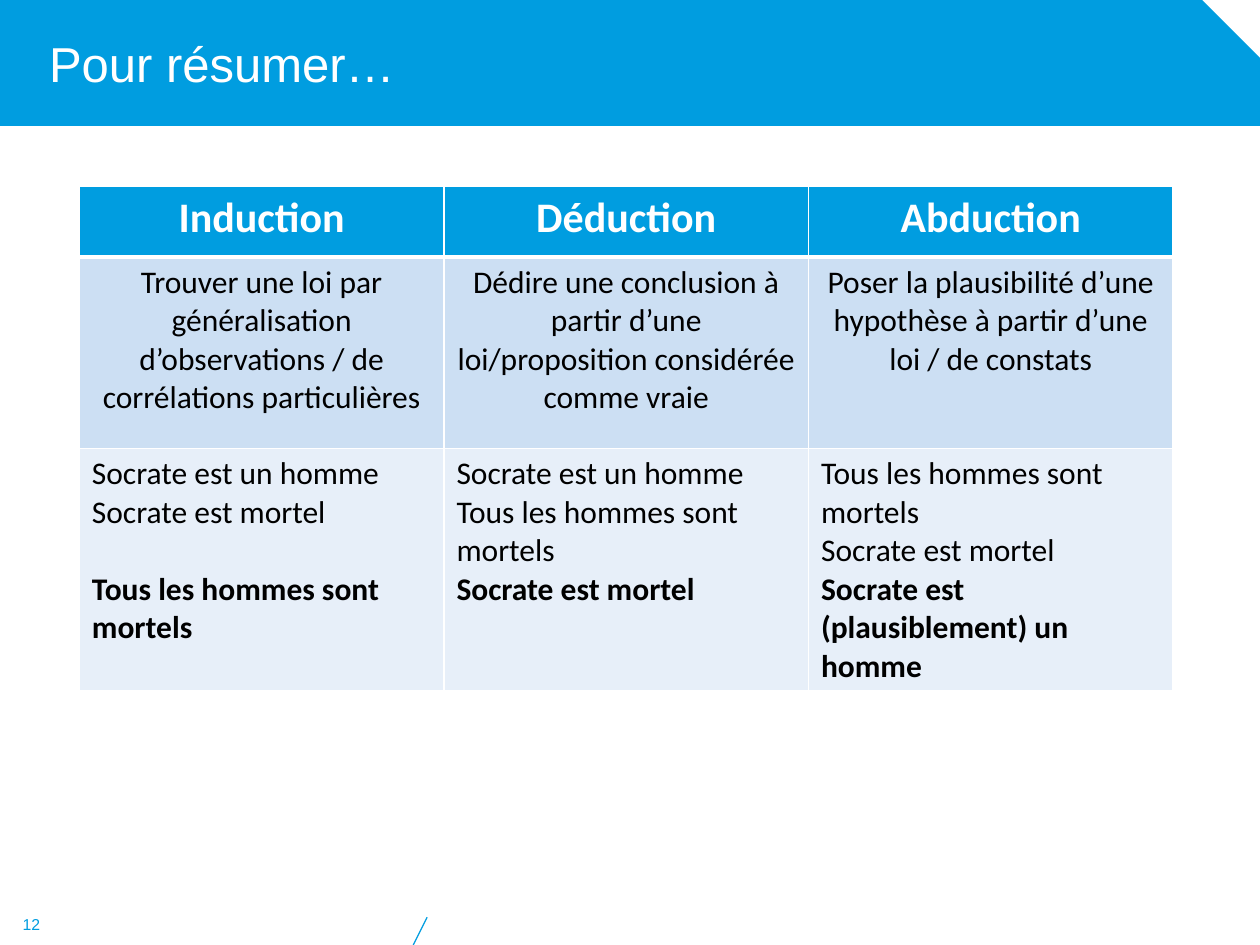
import dataclasses

import pptx
import pptx.dml.color
import pptx.enum.shapes
import pptx.enum.text
import pptx.oxml
import pptx.oxml.ns
import pptx.util

ALIGN = pptx.enum.text.PP_ALIGN
ANCHOR = pptx.enum.text.MSO_ANCHOR
SHAPE = pptx.enum.shapes.MSO_SHAPE
CONNECTOR = pptx.enum.shapes.MSO_CONNECTOR


@dataclasses.dataclass(frozen=True)
class Theme:
    accent: str = "009DE0"
    white: str = "FFFFFF"
    black: str = "000000"
    definition: str = "CCDFF3"
    example: str = "E7EFF9"
    heading_font: str = "Arial"
    table_font: str = "Calibri"
    title_size: int = 28
    header_size: int = 24
    body_size: int = 18
    number_size: int = 9
    blank_line: int = 22
    border: int = 1
    header_border: int = 3


def rgb(value):
    return pptx.dml.color.RGBColor.from_string(value)


def assign(target, values):
    for name, value in values.items():
        setattr(target, name, value)


class SlideBuilder:
    columns, rows = 100, 75

    def __init__(self, deck, theme):
        self.theme = theme
        self.column = deck.slide_width / self.columns
        self.row = deck.slide_height / self.rows
        self.page = deck.slides.add_slide(deck.slide_layouts[6])

    def scale(self, left, top, right, bottom):
        return (round(left * self.column), round(top * self.row),
                round(right * self.column), round(bottom * self.row))

    def add_text(self, para, text, size, color, font, bold=False):
        span = para.add_run()
        span.text = text
        assign(span.font, {"name": font, "size": pptx.util.Pt(size), "bold": bold})
        span.font.color.rgb = rgb(color)

    def banner(self, *area):
        shape = self.page.shapes.add_shape(
            SHAPE.SNIP_1_RECTANGLE, *self.scale(*area))
        shape.adjustments[0] = 0.46
        shape.shadow.inherit = False
        shape.fill.solid()
        shape.fill.fore_color.rgb = rgb(self.theme.accent)
        shape.line.fill.background()

    def slash(self, *ends):
        line = self.page.shapes.add_connector(
            CONNECTOR.STRAIGHT, *self.scale(*ends))
        line.line.color.rgb = rgb(self.theme.accent)
        line.line.width = pptx.util.Pt(0.75)
        properties = line._element.spPr
        properties.append(properties.makeelement(pptx.oxml.ns.qn("a:effectLst"), {}))

    def label(self, area, text, size, color, align, inset=0.1):
        box = self.page.shapes.add_textbox(*self.scale(*area))
        assign(box.text_frame, {
            "word_wrap": True,
            "vertical_anchor": ANCHOR.MIDDLE,
            "margin_left": pptx.util.Inches(inset),
        })
        para = box.text_frame.paragraphs[0]
        para.alignment = align
        self.add_text(para, text, size, color, self.theme.heading_font)

    def borders(self, cell, top, bottom):
        properties = cell._tc.get_or_add_tcPr()
        sides = {"L": self.theme.border, "R": self.theme.border, "T": top, "B": bottom}
        for index, (side, width) in enumerate(sides.items()):
            properties.insert(index, pptx.oxml.parse_xml(
                f'<a:ln{side} {pptx.oxml.ns.nsdecls("a")} w="{pptx.util.Pt(width)}">'
                f'<a:solidFill><a:srgbClr val="{self.theme.white}"/></a:solidFill>'
                f'</a:ln{side}>'))

    def cell(self, cell, paragraphs, fill, size, color, align):
        cell.fill.solid()
        cell.fill.fore_color.rgb = rgb(fill)
        for index, (text, bold, gap) in enumerate(paragraphs):
            frame = cell.text_frame
            para = frame.add_paragraph() if index else frame.paragraphs[0]
            assign(para, {"alignment": align, "space_before": pptx.util.Pt(gap)})
            self.add_text(para, text, size, color, self.theme.table_font, bold)

    def table(self, area, heights, contents, styles):
        grid = self.page.shapes.add_table(
            len(contents), len(contents[0]), *self.scale(*area)).table
        thin, thick = self.theme.border, self.theme.header_border
        for index, (height, texts, style) in enumerate(zip(heights, contents, styles)):
            grid.rows[index].height = round(height * self.row)
            for cell, paragraphs in zip(grid.rows[index].cells, texts):
                self.cell(cell, paragraphs, **style)
                self.borders(cell, thick if index == 1 else thin,
                             thick if index == 0 else thin)


def main():
    deck = pptx.Presentation()
    assign(deck, {"slide_width": pptx.util.Inches(10),
                  "slide_height": pptx.util.Inches(7.5)})
    theme = Theme()
    slide = SlideBuilder(deck, theme)

    slide.banner(0, 0, 100, 10)
    slide.slash(32.8, 75, 33.9, 72.8)
    slide.label((0, 0, 95, 10), "Pour résumer…", theme.title_size,
                theme.white, ALIGN.LEFT, inset=0.39)
    slide.label((0, 71.7, 5, 3.3), "12", theme.number_size,
                theme.accent, ALIGN.CENTER)

    headers = ["Induction", "Déduction", "Abduction"]
    definitions = [
        "Trouver une loi par généralisation d’observations / de corrélations particulières",
        "Dédire une conclusion à partir d’une loi/proposition considérée comme vraie",
        "Poser la plausibilité d’une hypothèse à partir d’une loi / de constats",
    ]
    man, mortal = "Socrate est un homme", "Socrate est mortel"
    law = "Tous les hommes sont mortels"
    examples = [
        (man, mortal, law, theme.blank_line),
        (man, law, mortal, 0),
        (law, mortal, "Socrate est (plausiblement) un homme", 0),
    ]
    contents = [
        [[(text, True, 0)] for text in headers],
        [[(text, False, 0)] for text in definitions],
        [[(first, False, 0), (second, False, 0), (conclusion, True, gap)]
         for first, second, conclusion, gap in examples],
    ]
    body = {"size": theme.body_size, "color": theme.black}
    styles = [
        {"fill": theme.accent, "size": theme.header_size,
         "color": theme.white, "align": ALIGN.CENTER},
        {"fill": theme.definition, "align": ALIGN.CENTER, **body},
        {"fill": theme.example, "align": ALIGN.LEFT, **body},
    ]
    slide.table((6.3, 14.8, 86.8, 40), (5.6, 15.2, 19.2), contents, styles)
    deck.save("out.pptx")


if __name__ == "__main__":
    main()
